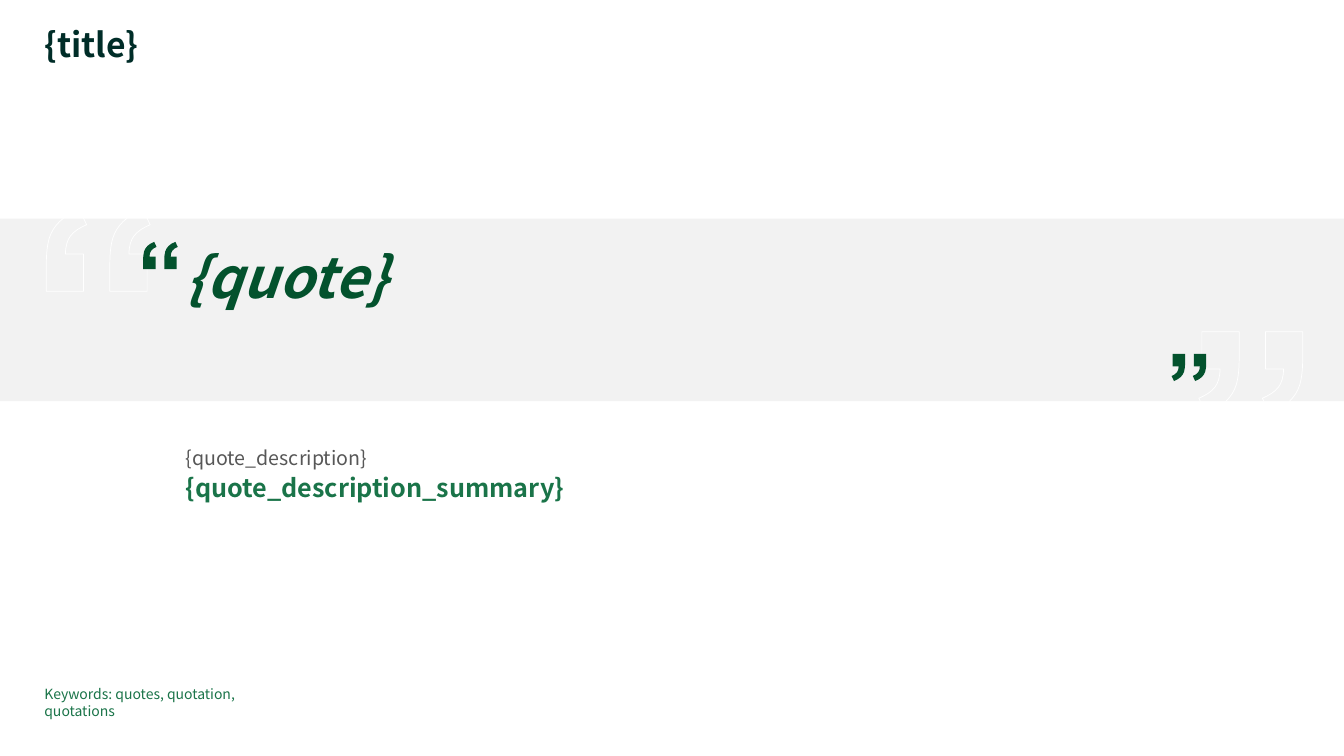
from lxml.etree import SubElement
from pptx import Presentation
from pptx.dml.color import RGBColor
from pptx.enum.shapes import MSO_SHAPE
from pptx.enum.text import MSO_ANCHOR, PP_ALIGN
from pptx.oxml.ns import qn
from pptx.util import Inches, Pt

WIDTH, HEIGHT = 13.33, 7.5
FONT = "Noto Sans CJK JP"
DARK, GREEN, INK, GREY = "03522D", "1A7449", "002D28", "575757"
BAND, WHITE = "F2F2F2", "FFFFFF"
BAND_BOX = (0, 2.17, WIDTH, 1.81)

# Each run style: size, colour, bold, italic
TITLE = ("{title}", (0.44, 0.28, 11.03, 0.37), [(24, INK, True, False)])
TEXTS = [
    ("{quote}", (1.84, 2.41, 10.34, 0.67), [(40, DARK, True, True)], 1, 0),
    ("{quote_description}\v{quote_description_summary}", (1.84, 4.4, 6.79, 0.58),
     [(14, GREY, False, False), (18, GREEN, True, False)], 1.1, 6),
    ("Keywords: quotes, quotation, quotations", (0.44, 6.8, 2.48, 0.17),
     [(10, GREEN, False, False)], 1, 1.1),
]

# One quotation mark in hundredths of an inch: lines have one point, curves three
MARK_START = (33, 0)
MARK_STEPS = [
    [(40, 15)],
    [(33, 18), (28, 21), (24, 26)],
    [(21, 30), (19, 36), (19, 44)],
    [(37, 44)], [(37, 81)], [(0, 81)], [(0, 54)],
    [(0, 43), (1, 35), (3, 28)],
    [(5, 22), (8, 17), (13, 12)],
    [(18, 7), (25, 3), (33, 0)],
]
MARK_SHIFTS = (63, 0)
# left, top, scale, rotation, filled
QUOTE_MARKS = [
    (0.46, 2.08, 1, 0, False),
    (1.42, 2.4, 1 / 3, 0, True),
    (11.89, 3.29, 1, 180, False),
    (11.62, 3.51, 1 / 3, 180, True),
]


def color(value):
    return RGBColor.from_string(value)


def shifted(points, shift):
    return [(x + shift, y) for x, y in points]


def bend_segments(shape, steps):
    """Turn the straight segments of three-point steps into Bezier curves."""
    segments = list(shape.element.iter(qn("a:lnTo")))
    for segment, step in zip(segments, steps):
        if len(step) == 3:
            segment.tag = qn("a:cubicBezTo")
            segment.clear()
            for x, y in step:
                SubElement(segment, qn("a:pt"), x=str(x), y=str(y))


def add_quote_marks(slide, left, top, scale, rotation, filled):
    corners = [step[-1] for step in MARK_STEPS]
    builder = slide.shapes.build_freeform(*shifted([MARK_START], MARK_SHIFTS[0])[0],
                                          scale=Inches(scale) / 100)
    for index, shift in enumerate(MARK_SHIFTS):
        if index:
            builder.move_to(*shifted([MARK_START], shift)[0])
        builder.add_line_segments(shifted(corners, shift), close=True)
    shape = builder.convert_to_shape(Inches(left), Inches(top))
    bend_segments(shape, [shifted(step, shift) for shift in MARK_SHIFTS for step in MARK_STEPS])
    shape.rotation = rotation
    shape.shadow.inherit = False
    if filled:
        shape.fill.solid()
        shape.fill.fore_color.rgb = color(DARK)
        shape.line.fill.background()
    else:
        shape.fill.background()
        shape.line.color.rgb = color(WHITE)
        shape.line.width = Pt(0.5)


def write(shape, text, styles, line_spacing, space_after=0):
    frame = shape.text_frame
    frame.margin_left = frame.margin_right = frame.margin_top = frame.margin_bottom = 0
    frame.word_wrap = True
    frame.vertical_anchor = MSO_ANCHOR.TOP
    paragraph = frame.paragraphs[0]
    paragraph.text = text
    paragraph.alignment = PP_ALIGN.LEFT
    paragraph.line_spacing = line_spacing
    paragraph.space_after = Pt(space_after)
    for run, (size, value, bold, italic) in zip(paragraph.runs, styles):
        font = run.font
        font.name, font.size, font.bold, font.italic = FONT, Pt(size), bold, italic
        font.color.rgb = color(value)


def main():
    presentation = Presentation()
    presentation.slide_width, presentation.slide_height = Inches(WIDTH), Inches(HEIGHT)
    slide = presentation.slides.add_slide(presentation.slide_layouts[5])

    text, box, styles = TITLE
    title = slide.shapes.title
    title.left, title.top, title.width, title.height = map(Inches, box)
    write(title, text, styles, 0.9)

    band = slide.shapes.add_shape(MSO_SHAPE.RECTANGLE, *map(Inches, BAND_BOX))
    band.shadow.inherit = False
    band.fill.solid()
    band.fill.fore_color.rgb = color(BAND)
    band.line.fill.background()

    for text, box, styles, line_spacing, space_after in TEXTS:
        text_box = slide.shapes.add_textbox(*map(Inches, box))
        write(text_box, text, styles, line_spacing, space_after)
    for marks in QUOTE_MARKS:
        add_quote_marks(slide, *marks)

    presentation.save("out.pptx")


if __name__ == "__main__":
    main()
